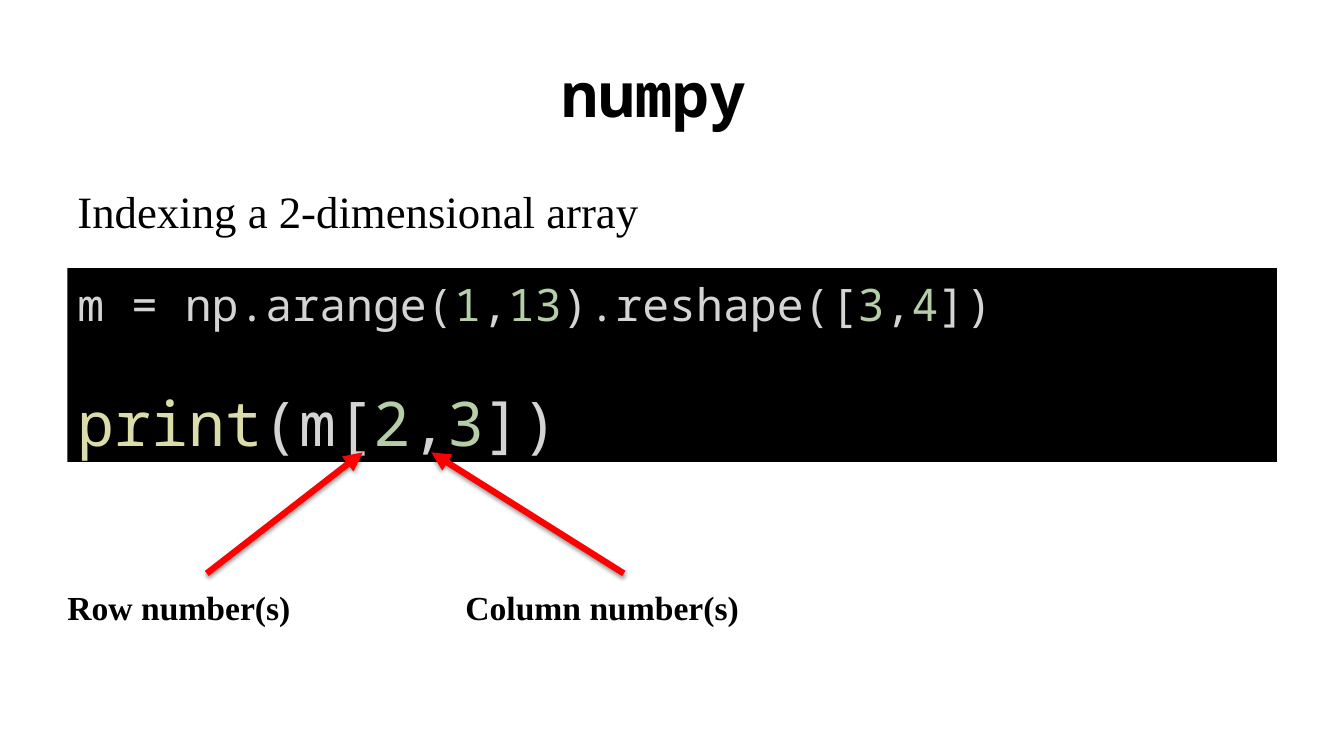
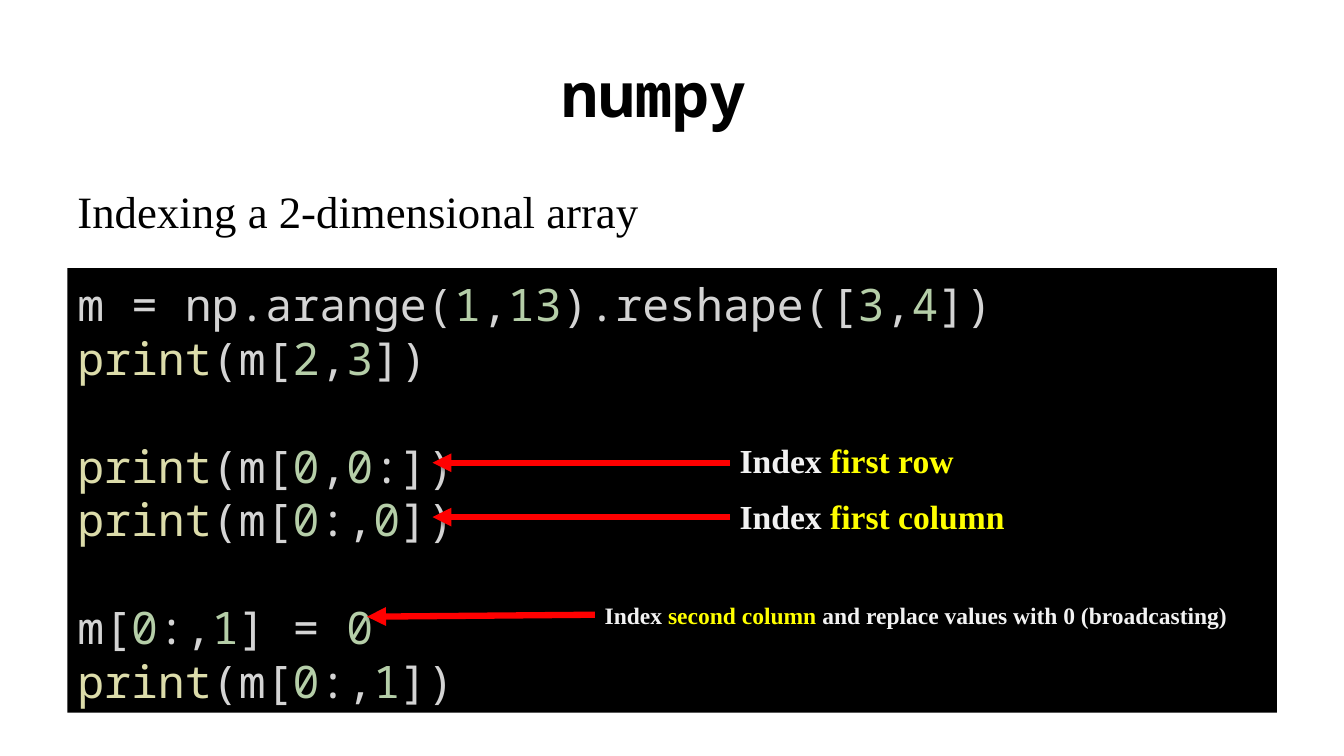
import itertools
from dataclasses import dataclass

import lxml.etree
import pptx
import pptx.dml.color
import pptx.enum.shapes
import pptx.enum.text
import pptx.oxml
import pptx.oxml.ns
import pptx.util

Cm, Pt = pptx.util.Cm, pptx.util.Pt
Align, Anchor = pptx.enum.text.PP_ALIGN, pptx.enum.text.MSO_ANCHOR


@dataclass(frozen=True)
class Theme:
    # Colours
    ink: str = "000000"
    panel: str = "000000"
    code: str = "D4D4D4"
    number: str = "B5CEA8"
    function: str = "DCDCAA"
    note: str = "F2F2F2"
    accent: str = "FFFF00"
    arrow: str = "FF0000"
    # Fonts and type sizes
    mono: str = "Noto Sans Mono"
    serif: str = "Times New Roman"
    title_size: float = 44
    body_size: float = 32
    label_size: float = 24
    small_size: float = 16.8
    line_height: float = 1.2
    # Arrows and the shared column
    arrow_width: float = 4.5
    left: float = 1.7
    width: float = 30.48
    label_height: float = 1.47


SHADOW = (
    '<a:effectLst %s><a:outerShdw blurRad="39400" dist="20300" dir="5400000" rotWithShape="0">'
    '<a:srgbClr val="000000"><a:alpha val="38000"/></a:srgbClr></a:outerShdw></a:effectLst>'
    % pptx.oxml.ns.nsdecls("a"))


def rgb(value):
    return pptx.dml.color.RGBColor.from_string(value)


class Deck:
    def __init__(self, theme):
        self.theme = theme
        self.file = pptx.Presentation()
        self.file.slide_width, self.file.slide_height = Cm(33.87), Cm(19.05)
        self.slide = None

    def run(self, paragraph, words, font, size, color, bold=False):
        run = paragraph.add_run()
        run.text = words
        run.font.name, run.font.size, run.font.bold = font, Pt(size), bold
        run.font.color.rgb = rgb(color)

    def text(self, left, top, width, height, parts, font, size,
             anchor=Anchor.BOTTOM, align=Align.LEFT, bold=False):
        """Place one line made of (words, colour) parts."""
        frame = self.slide.shapes.add_textbox(
            Cm(left), Cm(top), Cm(width), Cm(height)).text_frame
        frame.word_wrap, frame.vertical_anchor = True, anchor
        line = frame.paragraphs[0]
        line.alignment = align
        for words, color in parts:
            self.run(line, words, font, size, color, bold)

    def new_slide(self, title, subtitle):
        t = self.theme
        self.slide = self.file.slides.add_slide(self.file.slide_layouts[6])
        self.text(t.left, 0.76, t.width, 3.18, [(title, t.ink)], t.mono, t.title_size,
                  Anchor.MIDDLE, Align.CENTER, bold=True)
        self.text(t.left, 3.94, t.width, 2.16, [(subtitle, t.ink)], t.serif, t.body_size)

    def label(self, left, top, width, parts, size=None, anchor=Anchor.MIDDLE):
        t = self.theme
        self.text(left, top, width, t.label_height, parts, t.serif,
                  size or t.label_size, anchor, bold=True)

    def code_line(self, paragraph, code, size):
        """Colour digits and the print call, the rest stays plain."""
        t = self.theme
        if code.startswith("print"):
            self.run(paragraph, "print", t.mono, size, t.function)
            code = code.removeprefix("print")
        for is_number, letters in itertools.groupby(code, str.isdigit):
            self.run(paragraph, "".join(letters), t.mono, size,
                     t.number if is_number else t.code)

    def code_panel(self, height, blocks):
        """Each block is (type size, lines); one line of space parts the blocks."""
        t = self.theme
        panel = self.slide.shapes.add_shape(
            pptx.enum.shapes.MSO_SHAPE.RECTANGLE,
            Cm(t.left), Cm(6.76), Cm(t.width), Cm(height))
        panel.shadow.inherit = False
        panel.fill.solid()
        panel.fill.fore_color.rgb = rgb(t.panel)
        panel.line.fill.background()
        frame = panel.text_frame
        frame.word_wrap, frame.vertical_anchor = True, Anchor.TOP
        frame.margin_top, frame.margin_bottom = Cm(0.22), Cm(0)
        paragraph = None
        for size, lines in blocks:
            for position, code in enumerate(lines):
                starts_block = paragraph is not None and position == 0
                paragraph = frame.add_paragraph() if paragraph is not None else frame.paragraphs[0]
                paragraph.alignment = Align.LEFT
                paragraph.line_spacing = Pt(size * t.line_height)
                if starts_block:
                    paragraph.space_before = Pt(t.body_size * t.line_height)
                self.code_line(paragraph, code, size)

    def arrow(self, start, end):
        arrow = self.slide.shapes.add_connector(
            pptx.enum.shapes.MSO_CONNECTOR.STRAIGHT, *(Cm(value) for value in start + end))
        arrow.line.color.rgb = rgb(self.theme.arrow)
        arrow.line.width = Pt(self.theme.arrow_width)
        outline = arrow.line._get_or_add_ln()
        lxml.etree.SubElement(outline, pptx.oxml.ns.qn("a:tailEnd"), type="triangle")
        arrow._element.spPr.append(pptx.oxml.parse_xml(SHADOW))


def main():
    theme = Theme()
    deck = Deck(theme)
    title, subtitle = "numpy ", "Indexing a 2-dimensional array"
    create_array = "m = np.arange(1,13).reshape([3,4])"
    pick_item = "print(m[2,3])"

    # Slide 1: row and column numbers
    deck.new_slide(title, subtitle)
    deck.code_panel(4.88, [(theme.body_size, [create_array]),
                           (theme.title_size, [pick_item])])
    base, tip = 14.45, 11.4
    for words, left, width, start_x, tip_x in (
            ("Row number(s)", 1.45, 7.52, 5.21, 9.14),
            ("Column number(s)", 11.48, 8.51, 15.72, 10.87)):
        deck.arrow((start_x, base), (tip_x, tip))
        deck.label(left, base, width, [(words, theme.ink)], anchor=Anchor.BOTTOM)

    # Slide 2: whole rows and columns
    deck.new_slide(title, subtitle)
    deck.code_panel(11.2, [(theme.body_size, lines) for lines in (
        [create_array, pick_item],
        ["print(m[0,0:])", "print(m[0:,0])"],
        ["m[0:,1] = 0", "print(m[0:,1])"])])
    for target, top, arrow_y in (("first row", 10.87, 11.66),
                                 ("first column", 12.27, 13.03)):
        deck.arrow((18.39, arrow_y), (10.9, arrow_y))
        deck.label(18.39, top, 8.51, [("Index ", theme.note), (target, theme.accent)])
    deck.arrow((14.99, 15.49), (9.25, 15.54))
    deck.label(14.99, 14.76, 16.92,
               [("Index ", theme.note), ("second column ", theme.accent),
                ("and replace values with 0 (broadcasting)", theme.note)],
               theme.small_size)

    deck.file.save("out.pptx")


if __name__ == "__main__":
    main()
